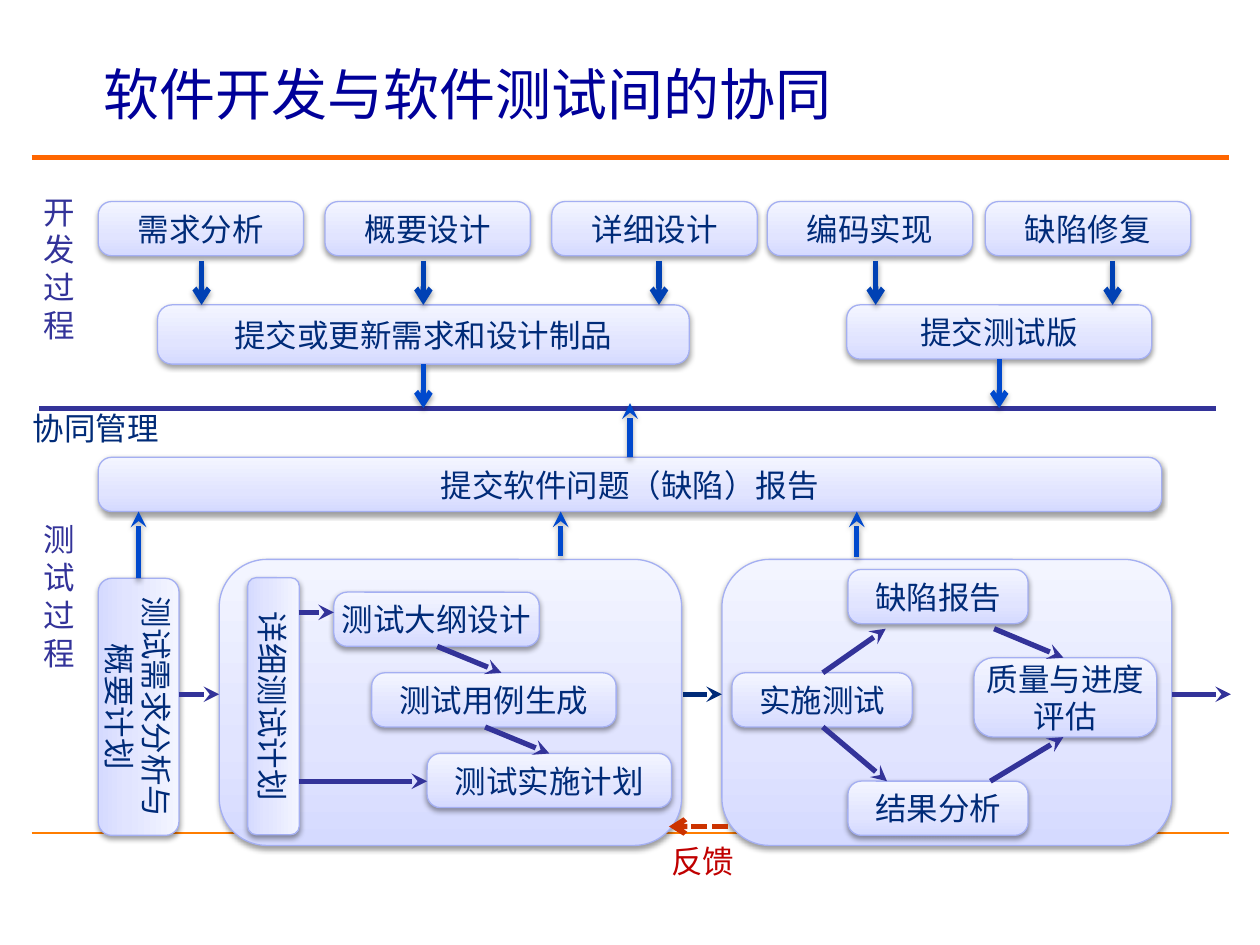
from copy import deepcopy

from pptx import Presentation
from pptx.dml.color import RGBColor
from pptx.enum.dml import MSO_LINE_DASH_STYLE as Dash
from pptx.enum.shapes import MSO_CONNECTOR as Connector, MSO_SHAPE as Shape
from pptx.enum.text import MSO_ANCHOR as Anchor, PP_ALIGN as Align
from pptx.oxml.ns import qn
from pptx.oxml.xmlchemy import OxmlElement
from pptx.util import Emu, Inches, Pt

COLUMNS, ROWS = 100, 75
SLIDE_WIDTH, SLIDE_HEIGHT = Inches(10), Inches(7.5)

ORANGE = RGBColor(0xFF, 0x66, 0x00)
AMBER = RGBColor(0xFF, 0x7D, 0x00)
TITLE_BLUE = RGBColor(0x00, 0x00, 0x99)
INDIGO = RGBColor(0x33, 0x33, 0x99)
NAVY = RGBColor(0x00, 0x2B, 0x78)
DELIVERY_BLUE = RGBColor(0x00, 0x41, 0xB4)
EXCHANGE_BLUE = RGBColor(0x00, 0x49, 0xCD)
FEEDBACK_LINE = RGBColor(0xCC, 0x33, 0x00)
FEEDBACK_TEXT = RGBColor(0xC0, 0x00, 0x00)
BOX_LINE = RGBColor(0xA4, 0xAF, 0xF2)
BOX_STOPS = [(0, RGBColor(0xD5, 0xDA, 0xFF)),
             (0.35, RGBColor(0xE1, 0xE4, 0xFF)),
             (1, RGBColor(0xF3, 0xF5, 0xFF))]

BOX_HEIGHT = 4.3
NODE_ROUNDING, PLAN_ROUNDING = 0.245, 0.167
PHASE_TOP, PHASE_WIDTH = 16, 16.3
DELIVERY_TOP = 24.2
EXCHANGE_ROW = 32.4
REPORT_TOP = 36.3
REPORT_BOTTOM = REPORT_TOP + BOX_HEIGHT
FLOW_ROW = 55.1


def grid(*cells):
    """Turn alternating column and row counts into lengths."""
    units = (SLIDE_WIDTH / COLUMNS, SLIDE_HEIGHT / ROWS)
    return [Emu(round(cell * units[i % 2])) for i, cell in enumerate(cells)]


def set_effects(item, shadow_alpha=None):
    """Give the item a soft shadow below it, or none at all."""
    effects = OxmlElement("a:effectLst")
    if shadow_alpha:
        shadow = OxmlElement("a:outerShdw")
        for key, value in (("blurRad", 40000), ("dist", 20000), ("dir", 5400000),
                           ("rotWithShape", 0)):
            shadow.set(key, str(value))
        colour = OxmlElement("a:srgbClr")
        colour.set("val", "000000")
        alpha = OxmlElement("a:alpha")
        alpha.set("val", str(shadow_alpha * 1000))
        colour.append(alpha)
        shadow.append(colour)
        effects.append(shadow)
    properties = item._element.spPr
    for old in properties.findall(qn("a:effectLst")):
        properties.remove(old)
    properties.append(effects)


def write(frame, text, font, size, colour, align=Align.LEFT):
    frame.text = text
    for paragraph in frame.paragraphs:
        paragraph.alignment = align
        paragraph.font.name = font
        paragraph.font.size = Pt(size)
        paragraph.font.color.rgb = colour


def add_label(slide, area, text, colour, font="Times New Roman", size=18, wrap=False):
    frame = slide.shapes.add_textbox(*grid(*area)).text_frame
    frame.word_wrap = wrap
    write(frame, text, font, size, colour)
    return frame


def add_box(slide, area, text="", rounding=NODE_ROUNDING, rotation=0):
    box = slide.shapes.add_shape(Shape.ROUNDED_RECTANGLE, *grid(*area))
    box.adjustments[0] = rounding
    box.rotation = rotation
    box.fill.gradient()
    box.fill.gradient_angle = 90
    stops = box._element.spPr.find(qn("a:gradFill")).find(qn("a:gsLst"))
    stops.insert(1, deepcopy(stops[0]))
    for stop, (position, colour) in zip(box.fill.gradient_stops, BOX_STOPS):
        stop.position = position
        stop.color.rgb = colour
    box.line.color.rgb = BOX_LINE
    box.line.width = Pt(0.75)
    set_effects(box, 38)
    if text:
        frame = box.text_frame
        frame.word_wrap = False
        frame.vertical_anchor = Anchor.MIDDLE
        write(frame, text, "Arial", 18, NAVY, Align.CENTER)


def add_line(slide, ends, colour, width=3, tip=None, dash=None, shadow_alpha=None,
             kind=Connector.STRAIGHT):
    connector = slide.shapes.add_connector(kind, *grid(*ends))
    connector.line.color.rgb = colour
    connector.line.width = Pt(width)
    if dash:
        connector.line.dash_style = dash
    if tip:
        tail = OxmlElement("a:tailEnd")
        tail.set("type", tip)
        connector.line._get_or_add_ln().append(tail)
    set_effects(connector, shadow_alpha)


def add_frame(slide):
    add_line(slide, (2.5, 66.1, 97.5, 66.1), AMBER, width=1)
    add_line(slide, (2.5, 12.5, 97.5, 12.5), ORANGE)
    title = add_label(slide, (7.2, 2.5, 88.3, 9.2), "软件开发与软件测试间的协同",
                      TITLE_BLUE, "Arial", 32, wrap=True)
    title.vertical_anchor = Anchor.MIDDLE
    title.paragraphs[0].line_spacing = Pt(42)
    add_line(slide, (3.1, EXCHANGE_ROW, 96.5, EXCHANGE_ROW), INDIGO)
    add_label(slide, (2.5, 14.8, 4.2, 13), "开发过程", INDIGO, wrap=True)
    add_label(slide, (2.5, 40.8, 5, 13), "测试过程", INDIGO, wrap=True)
    add_label(slide, (1.6, 32, 12.1, 4), "协同管理", NAVY)


def add_development(slide):
    phases = [("需求分析", 7.8, 16), ("概要设计", 25.8, 33.6), ("详细设计", 43.8, 52.3),
              ("编码实现", 60.9, 69.5), ("缺陷修复", 78.2, 88.3)]
    deliveries = [("提交或更新需求和设计制品", 12.5, 42.2, 4.7),
                  ("提交测试版", 67.2, 24.2, BOX_HEIGHT)]
    for name, left, _ in phases:
        add_box(slide, (left, PHASE_TOP, PHASE_WIDTH, BOX_HEIGHT), name)
    for name, left, width, height in deliveries:
        add_box(slide, (left, DELIVERY_TOP, width, height), name)
        middle = left + width / 2
        add_line(slide, (middle, DELIVERY_TOP + height, middle, EXCHANGE_ROW),
                 EXCHANGE_BLUE, tip="arrow", shadow_alpha=35)
    for _, _, column in phases:
        add_line(slide, (column, 20.7, column, DELIVERY_TOP), DELIVERY_BLUE,
                 tip="arrow", shadow_alpha=35)


def add_testing(slide):
    for left, width in ((57.3, 35.7), (17.4, 36.7)):
        add_box(slide, (left, 44.4, width, 22.7), rounding=PLAN_ROUNDING)
    for text, left, top, height in (("测试需求分析与\n概要计划", 0.8, 52.9, 6.4),
                                    ("详细测试计划", 11.5, 54, 4.1)):
        add_box(slide, (left, top, 20.4, height), text, PLAN_ROUNDING, rotation=90)
    steps = [("测试大纲设计", 26.5, 47, 16.3), ("测试用例生成", 29.5, 53.4, 19.4),
             ("测试实施计划", 33.9, 59.8, 19.4), ("实施测试", 58.1, 53.4, 14.3),
             ("结果分析", 67.3, 62, 14.3), ("缺陷报告", 67.3, 45.2, 14.3),
             ("提交软件问题（缺陷）报告", 7.8, REPORT_TOP, 84.4)]
    for name, left, top, width in steps:
        add_box(slide, (left, top, width, BOX_HEIGHT), name)
    add_box(slide, (77.3, 52.2, 14.5, 6.3), "质量与进度\n评估")


def add_testing_flow(slide):
    flow = [(14.2, FLOW_ROW, 17.4, FLOW_ROW), (93, FLOW_ROW, 97.7, FLOW_ROW),
            (23.7, 62, 33.9, 62), (23.7, 48.6, 26.5, 48.6),
            (34.7, 51.3, 39.8, 53.4), (38.5, 57.7, 43.6, 59.8),
            (65.3, 57.7, 70.4, 62), (78.6, 62, 84.4, 58.5),
            (78.9, 49.9, 84.4, 52.2), (65.3, 53.4, 70.3, 49.9)]
    for ends in flow:
        add_line(slide, ends, INDIGO, tip="stealth")
    add_line(slide, (54.2, FLOW_ROW, 57.3, FLOW_ROW), NAVY, tip="stealth")
    for column, start, end in ((50, REPORT_TOP, 32), (68, 44.2, REPORT_BOTTOM),
                               (44.5, 44.1, REPORT_BOTTOM), (11, 45.9, REPORT_BOTTOM)):
        add_line(slide, (column, start, column, end), EXCHANGE_BLUE,
                 tip="stealth", shadow_alpha=35)
    add_line(slide, (57.8, 65.6, 53.1, 65.6), FEEDBACK_LINE, tip="arrow",
             dash=Dash.SQUARE_DOT, kind=Connector.ELBOW)
    add_label(slide, (52.3, 66.3, 7.1, 4), "反馈", FEEDBACK_TEXT)


def main():
    presentation = Presentation()
    presentation.slide_width, presentation.slide_height = SLIDE_WIDTH, SLIDE_HEIGHT
    slide = presentation.slides.add_slide(presentation.slide_layouts[6])
    add_frame(slide)
    add_development(slide)
    add_testing(slide)
    add_testing_flow(slide)
    presentation.save("out.pptx")


if __name__ == "__main__":
    main()
